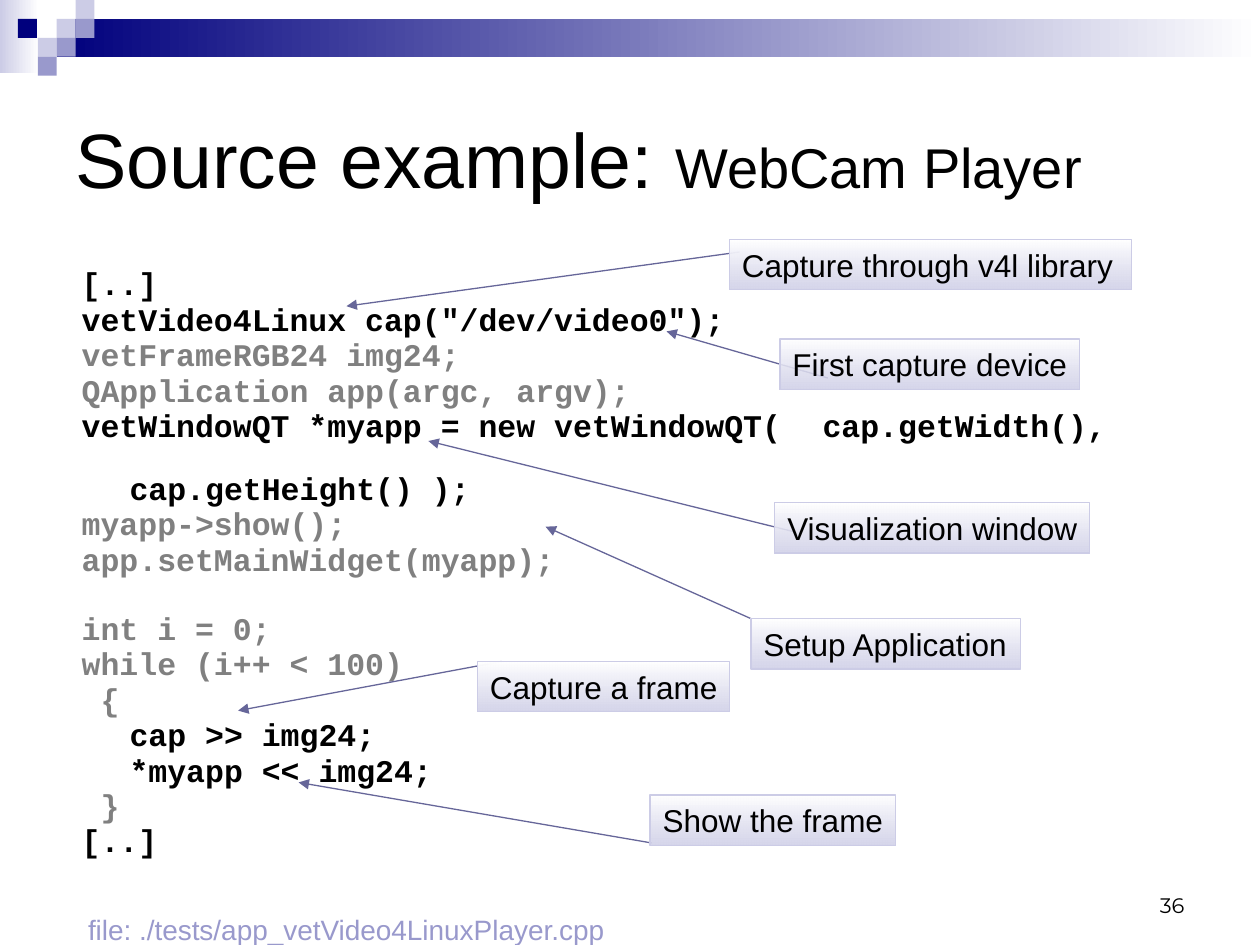
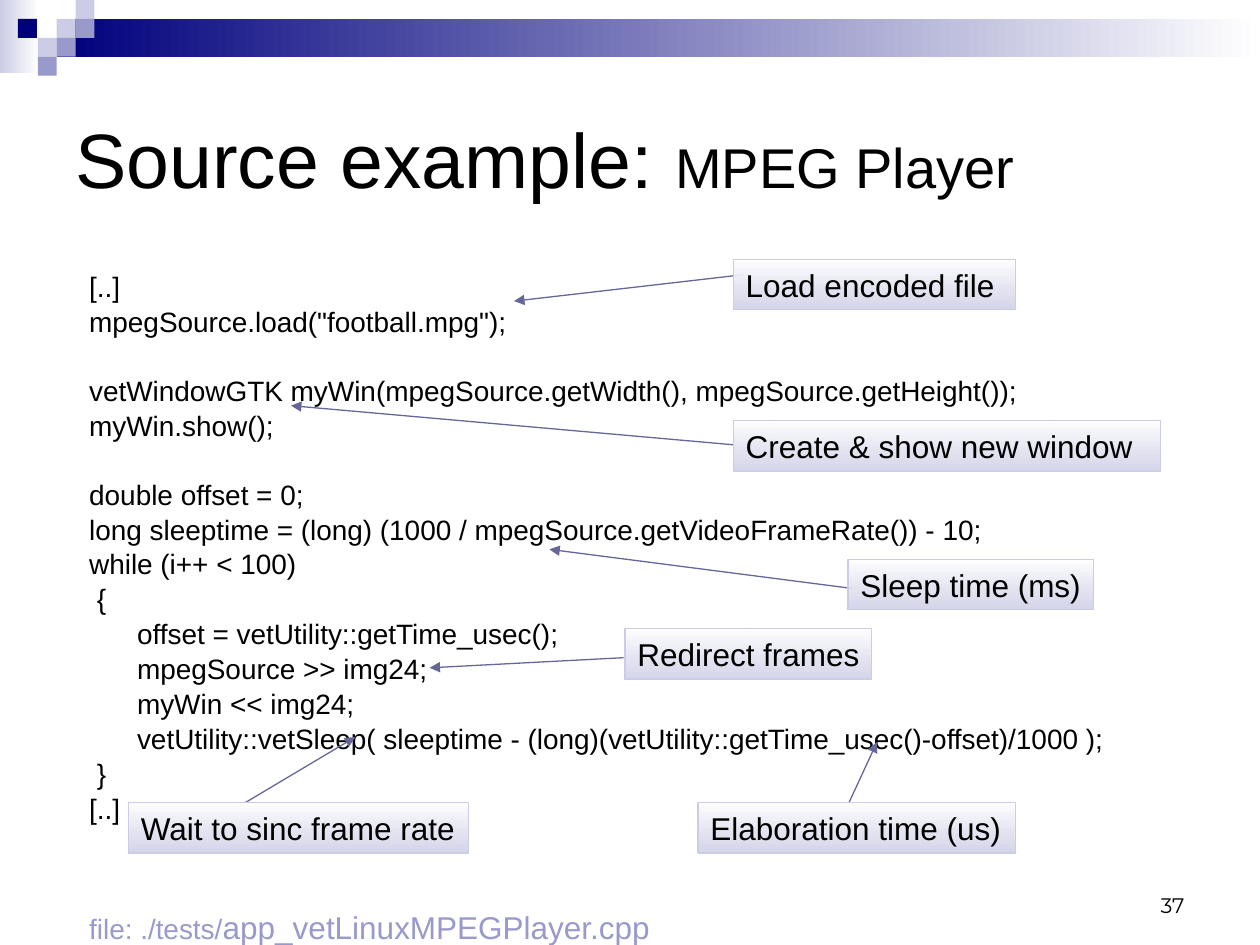
import dataclasses

import pptx
import pptx.dml.color
import pptx.enum.shapes
import pptx.enum.text
import pptx.oxml
import pptx.oxml.ns
import pptx.util

SHAPES = pptx.enum.shapes.MSO_SHAPE
ANCHOR = pptx.enum.text.MSO_ANCHOR
ALIGN = pptx.enum.text.PP_ALIGN
WIDTH, HEIGHT = pptx.util.Inches(10), pptx.util.Inches(7.5)
COLUMN, ROW = WIDTH / 10, HEIGHT / 7.5
TILE = 0.15


@dataclasses.dataclass(frozen=True)
class Theme:
    ink: str = "000000"
    muted: str = "808080"
    white: str = "FFFFFF"
    navy: str = "00007D"
    violet: str = "9999CC"
    lavender: str = "CCCCE6"
    arrow: str = "666699"
    font: str = "Arial"
    mono: str = "Courier New"
    number_font: str = "Montserrat"
    title: int = 44
    subtitle: int = 32
    large: int = 18
    small: int = 16
    number: int = 12
    hairline: float = 0.75


THEME = Theme()


@dataclasses.dataclass(frozen=True)
class CodeStyle:
    font: str
    size: int
    bold: bool
    line_spacing: float
    gap: float
    pitch: float


MONO_CODE = CodeStyle(THEME.mono, THEME.large, True, 0.7, 5.1, 19.4)
PLAIN_CODE = CodeStyle(THEME.font, THEME.small, False, 0.8, 4.6, 19.3)

TILES = [
    (3, 1, THEME.lavender), (4, 0, THEME.lavender), (4, 1, THEME.violet),
    (2, 2, THEME.lavender), (0.95, 1, THEME.navy), (3, 2, THEME.violet),
    (2, 3, THEME.violet),
]

WEBCAM_CODE = [
    (THEME.ink, 0, ["[..]", 'vetVideo4Linux cap("/dev/video0");']),
    (THEME.muted, 0, ["vetFrameRGB24 img24;", "QApplication app(argc, argv);"]),
    (THEME.ink, 0, ["vetWindowQT *myapp = new vetWindowQT(\tcap.getWidth(),"]),
    (THEME.ink, 0.82, ["\tcap.getHeight() );"]),
    (THEME.muted, 0, ["myapp->show();", "app.setMainWidget(myapp);"]),
    (THEME.muted, 1, ["int i = 0;", "while (i++ < 100)", " {"]),
    (THEME.ink, 0, ["\tcap >> img24;", "\t*myapp << img24;"]),
    (THEME.muted, 0, [" }"]),
    (THEME.ink, 0, ["[..]"]),
]
WEBCAM_NOTES = [
    ("First capture device", (6.19, 2.69, 2.38), (6.57, 3, 5.29, 2.63)),
    ("Visualization window", (6.15, 3.99, 2.5), (6.3, 4.22, 3.4, 3.5)),
    ("Capture a frame", (3.79, 5.25, 2), (3.98, 5.25, 1.89, 5.64)),
    ("Capture through v4l library", (5.79, 1.9, 3.19), (5.87, 2, 2.75, 2.43)),
    ("Setup Application", (5.96, 4.91, 2.14), (5.96, 4.91, 4.33, 4.18)),
    ("Show the frame", (5.16, 6.31, 1.95), (5.17, 6.69, 2.37, 6.21)),
]

MPEG_CODE = [
    (THEME.ink, 0, ["[..]", 'mpegSource.load("football.mpg");']),
    (THEME.ink, 1, [
        "vetWindowGTK myWin(mpegSource.getWidth(), mpegSource.getHeight());",
        "myWin.show();",
    ]),
    (THEME.ink, 1, [
        "double offset = 0;",
        "long sleeptime = (long) (1000 / mpegSource.getVideoFrameRate()) - 10;",
        "while (i++ < 100)",
        " {",
        "\toffset = vetUtility::getTime_usec();",
        "\tmpegSource >> img24;",
        "\tmyWin << img24;",
        "\tvetUtility::vetSleep( sleeptime - (long)(vetUtility::getTime_usec()-offset)/1000 );",
        " }",
        "[..]",
    ]),
]
MPEG_NOTES = [
    ("Create & show new window", (5.82, 3.34, 3.39), (5.82, 3.53, 2.31, 3.22)),
    ("Redirect frames", (4.96, 4.99, 1.96), (4.95, 5.22, 3.41, 5.3)),
    ("Load encoded file", (5.82, 2.06, 2.24), (5.9, 2.18, 4.08, 2.39)),
    ("Sleep time (ms)", (6.73, 4.44, 1.95), (6.76, 4.67, 4.36, 4.36)),
    ("Wait to sinc frame rate", (1.02, 6.37, 2.7), (1.88, 6.41, 2.82, 5.85)),
    ("Elaboration time (us)", (5.54, 6.37, 2.52), (6.72, 6.41, 6.96, 5.89)),
]


def grid(*cells):
    return [round(cell * (ROW if index % 2 else COLUMN)) for index, cell in enumerate(cells)]


def rgb(value):
    return pptx.dml.color.RGBColor.from_string(value)


def apply(target, formats):
    for name, value in formats.items():
        setattr(target, name, value)


def add_span(para, text, size, color=THEME.ink, font=THEME.font, bold=False):
    span = para.add_run()
    span.text = text
    apply(span.font, {"name": font, "size": pptx.util.Pt(size), "bold": bold})
    span.font.color.rgb = rgb(color)


def add_text_box(page, cells, **frame_formats):
    box = page.shapes.add_textbox(*grid(*cells))
    apply(box.text_frame, {"word_wrap": True, **frame_formats})
    return box.text_frame


def add_block(page, cells, color):
    block = page.shapes.add_shape(SHAPES.RECTANGLE, *grid(*cells))
    block.shadow.inherit = False
    block.line.fill.background()
    block.fill.solid()
    block.fill.fore_color.rgb = rgb(color)
    return block


def fade(block, color, angle):
    block.fill.gradient()
    block.fill.gradient_angle = angle
    for stop, value in zip(block.fill.gradient_stops, (THEME.white, color)):
        stop.color.rgb = rgb(value)


def add_band(page):
    fade(add_block(page, (0, 0, 0.31, 0.58), THEME.white), THEME.lavender, 180)
    fade(add_block(page, (3 * TILE, TILE, 10 - 3 * TILE, 2 * TILE), THEME.white), THEME.navy, 180)
    for column, row, color in TILES:
        add_block(page, (column * TILE, row * TILE, TILE, TILE), color)


def add_title(page, topic):
    frame = add_text_box(page, (0.5, 0.5, 9, 1.5), vertical_anchor=ANCHOR.MIDDLE)
    add_span(frame.paragraphs[0], "Source example: ", THEME.title)
    add_span(frame.paragraphs[0], topic, THEME.subtitle)


def indent_code(para):
    properties = para._p.get_or_add_pPr()
    hang = pptx.util.Inches(0.38)
    properties.set("marL", str(hang))
    properties.set("indent", str(-hang))
    tabs = pptx.oxml.parse_xml(f"<a:tabLst {pptx.oxml.ns.nsdecls('a')}/>")
    for stop in range(8):
        tab = tabs.makeelement(pptx.oxml.ns.qn("a:tab"), {"pos": str(pptx.util.Inches(stop)), "algn": "l"})
        tabs.append(tab)
    properties.append(tabs)


def add_code(page, cells, blocks, style):
    frame = add_text_box(page, cells, margin_top=pptx.util.Pt(3.6 + style.gap))
    para = None
    for color, skipped, lines in blocks:
        for index, line in enumerate(lines):
            before = style.gap + (0 if index else skipped * style.pitch)
            if para is None:
                para, before = frame.paragraphs[0], 0
            else:
                para = frame.add_paragraph()
            apply(para, {"line_spacing": style.line_spacing, "space_before": pptx.util.Pt(before)})
            indent_code(para)
            add_span(para, line, style.size, color, style.font, style.bold)


def add_arrow(page, cells):
    arrow = page.shapes.add_connector(pptx.enum.shapes.MSO_CONNECTOR.STRAIGHT, *grid(*cells))
    arrow.line.color.rgb = rgb(THEME.arrow)
    arrow.line.width = pptx.util.Pt(THEME.hairline)
    names = pptx.oxml.ns.nsdecls("a")
    arrow.line._get_or_add_ln().append(pptx.oxml.parse_xml(f'<a:tailEnd {names} type="triangle"/>'))
    arrow._element.spPr.append(pptx.oxml.parse_xml(f"<a:effectLst {names}/>"))


def add_callout(page, text, cells):
    label = add_block(page, (*cells, 0.4), THEME.white)
    fade(label, THEME.lavender, 270)
    last_color = label._element.spPr.findall(".//" + pptx.oxml.ns.qn("a:srgbClr"))[1]
    last_color.append(pptx.oxml.parse_xml(f'<a:alpha {pptx.oxml.ns.nsdecls("a")} val="80000"/>'))
    label.line.color.rgb = rgb(THEME.lavender)
    label.line.width = pptx.util.Pt(THEME.hairline)
    apply(label.text_frame, {"word_wrap": cells[2] > 3, "vertical_anchor": ANCHOR.TOP})
    para = label.text_frame.paragraphs[0]
    para.alignment = ALIGN.LEFT
    add_span(para, text, THEME.large)


def add_notes(page, notes):
    for _, _, arrow in notes:
        add_arrow(page, arrow)
    for text, cells, _ in notes:
        add_callout(page, text, cells)


def add_source_file(page, cells, spans):
    frame = add_text_box(page, cells, word_wrap=False, margin_top=pptx.util.Pt(8.2))
    para = frame.paragraphs[0]
    para.line_spacing = 0.8
    for text, size in spans:
        add_span(para, text, size, THEME.violet)


def add_number(page, number):
    frame = add_text_box(page, (7.17, 6.83, 2.33, 0.5), vertical_anchor=ANCHOR.BOTTOM)
    frame.paragraphs[0].alignment = ALIGN.RIGHT
    add_span(frame.paragraphs[0], str(number), THEME.number, font=THEME.number_font)


def add_page(deck, topic, number):
    page = deck.slides.add_slide(deck.slide_layouts[6])
    add_band(page)
    add_title(page, topic)
    add_number(page, number)
    return page


def main():
    deck = pptx.Presentation()
    apply(deck, {"slide_width": WIDTH, "slide_height": HEIGHT})

    webcam = add_page(deck, "WebCam Player", 36)
    add_code(webcam, (0.55, 2.06, 9, 4.84), WEBCAM_CODE, MONO_CODE)
    add_source_file(webcam, (0.6, 7.18, 4.31, 0.32),
                    [("file: ./tests/app_vetVideo4LinuxPlayer.cpp", THEME.small)])
    add_notes(webcam, WEBCAM_NOTES)

    mpeg = add_page(deck, "MPEG Player", 37)
    add_code(mpeg, (0.61, 2.08, 9, 4.38), MPEG_CODE, PLAIN_CODE)
    add_source_file(mpeg, (0.61, 7.15, 4.66, 0.34),
                    [("file: ./tests/", THEME.small), ("app_vetLinuxMPEGPlayer.cpp", THEME.large)])
    add_notes(mpeg, MPEG_NOTES)

    deck.save("out.pptx")


if __name__ == "__main__":
    main()
